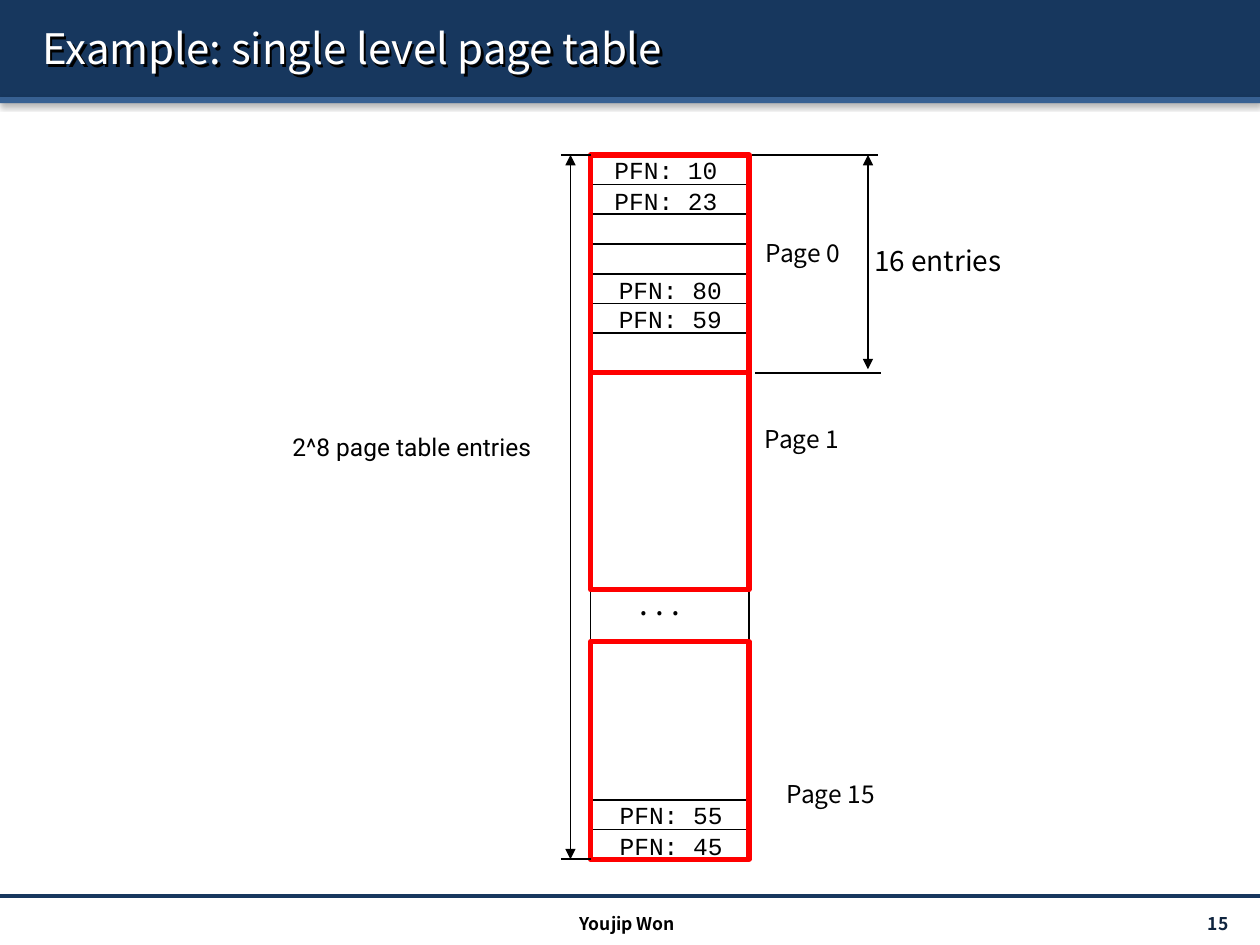
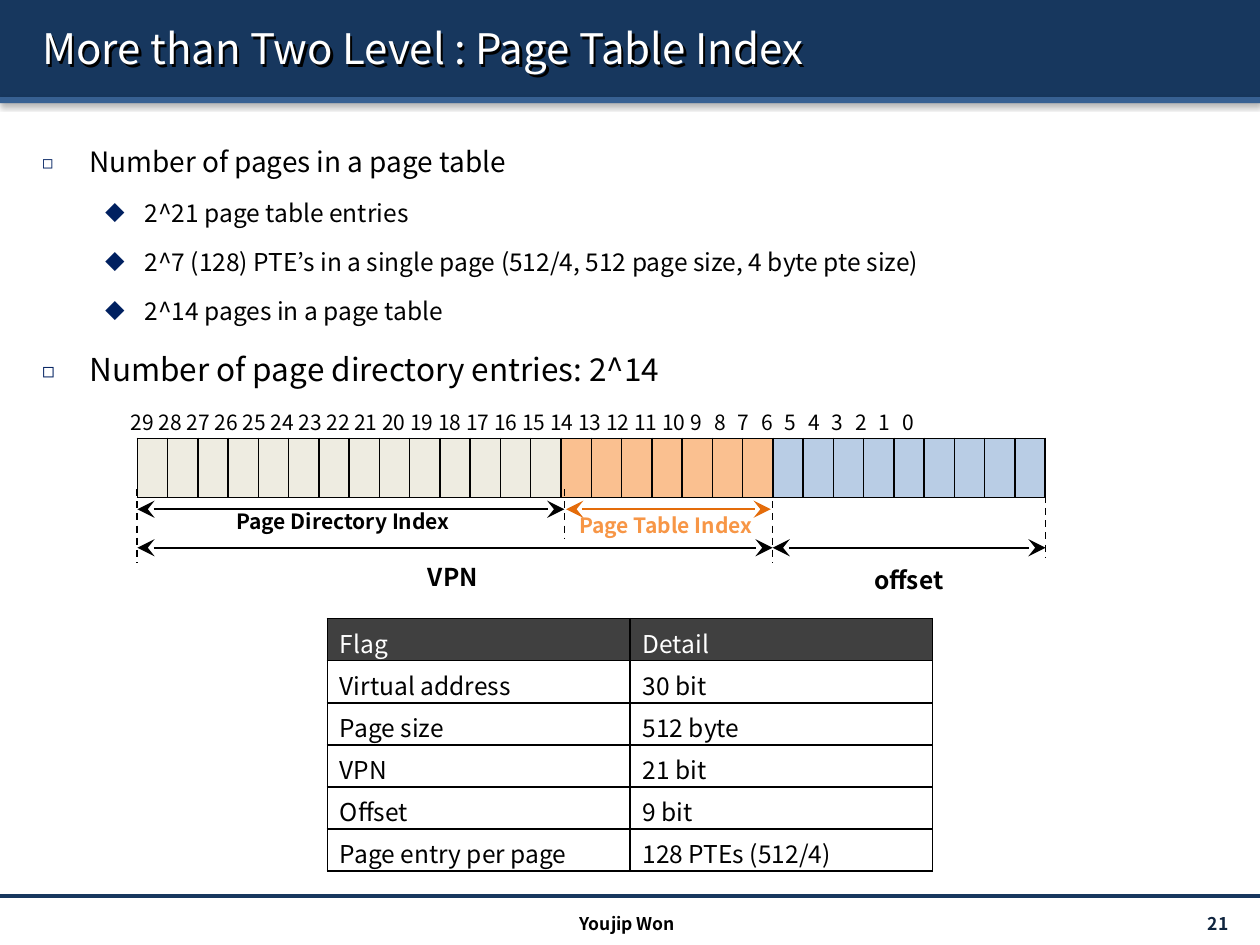
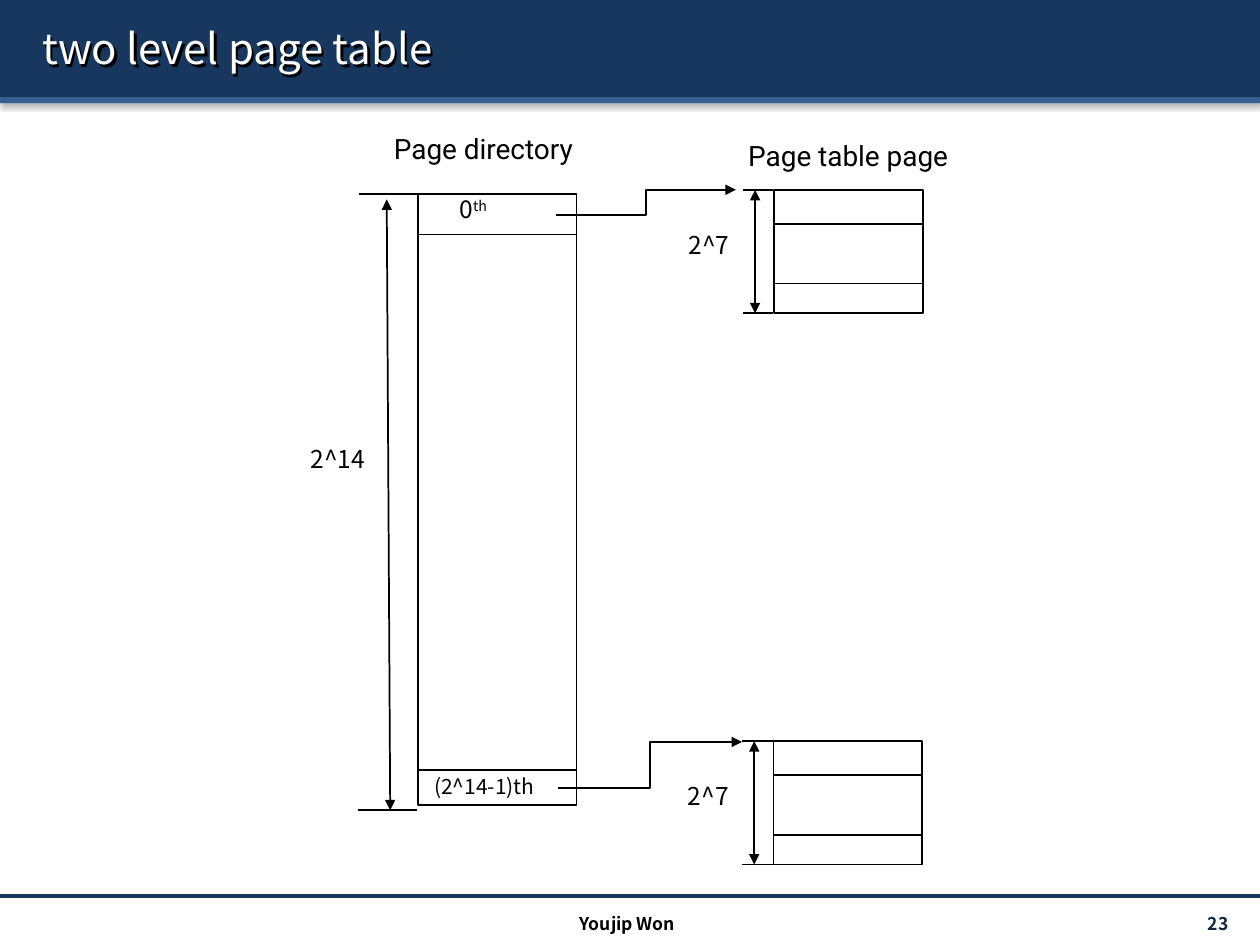
from lxml import etree
from pptx import Presentation
from pptx.dml.color import RGBColor
from pptx.enum import dml, shapes, text
from pptx.oxml.ns import qn
from pptx.util import Pt

rgb = RGBColor.from_string
NAVY, BLUE, INK, RED, BLACK, WHITE = "17375E", "376092", "0F243E", "FF0000", "000000", "FFFFFF"
BULLET, ORANGE, DARK_ORANGE = "002060", "F79646", "E46C0A"
SANS, MONO, ROBOTO = "Noto Sans CJK KR", "Courier New", "Roboto"
LEFT, CENTER, RIGHT = text.PP_ALIGN.LEFT, text.PP_ALIGN.CENTER, text.PP_ALIGN.RIGHT


def add_box(page, left, top, width, height, words="", size=14, font=SANS, color=BLACK, bold=False,
            align=LEFT, anchor=text.MSO_ANCHOR.TOP, raised="", fill=None, outline=None, weight=1):
    """Add a rectangle if it has a fill or outline, otherwise a text box; raised is superscript."""
    place = Pt(left), Pt(top), Pt(width), Pt(height)
    if fill or outline:
        box = page.shapes.add_shape(shapes.MSO_SHAPE.RECTANGLE, *place)
        box.shadow.inherit = False
        if fill:
            box.fill.solid()
            box.fill.fore_color.rgb = rgb(fill)
        else:
            box.fill.background()
        if outline:
            box.line.color.rgb = rgb(outline)
            box.line.width = Pt(weight)
        else:
            box.line.fill.background()
        return box
    box = page.shapes.add_textbox(*place)
    box.text_frame.word_wrap = True
    box.text_frame.vertical_anchor = anchor
    para = box.text_frame.paragraphs[0]
    para.alignment = align
    for piece, lift in ((words, 0), (raised, 30000)):
        if piece:
            span = para.add_run()
            span.text = piece
            span.font.size, span.font.name, span.font.bold = Pt(size), font, bold
            span.font.color.rgb = rgb(color)
            if lift:
                span.font._element.set("baseline", str(lift))
    return box


def add_line(page, x1, y1, x2, y2, color=BLACK, weight=1, dashed=False, head=None, tail=None,
             arrow_size="med", kind=shapes.MSO_CONNECTOR.STRAIGHT):
    line = page.shapes.add_connector(kind, Pt(x1), Pt(y1), Pt(x2), Pt(y2))
    line.line.color.rgb = rgb(color)
    line.line.width = Pt(weight)
    if dashed:
        line.line.dash_style = dml.MSO_LINE.DASH
    properties = line.element.spPr
    for tag, arrow in (("a:headEnd", head), ("a:tailEnd", tail)):
        if arrow:
            etree.SubElement(properties.find(qn("a:ln")), qn(tag), type=arrow, w=arrow_size, len=arrow_size)
    etree.SubElement(properties, qn("a:effectLst"))
    return line


deck = Presentation()
deck.slide_width, deck.slide_height = Pt(720), Pt(540)

# Shared bands, titles and footers
pages = []
for heading, number in (("Example: single level page table", 15),
                        ("More than Two Level : Page Table Index", 21),
                        ("two level page table", 23)):
    page = deck.slides.add_slide(deck.slide_layouts[5])
    pages.append(page)
    title = page.shapes.title
    title.left, title.top, title.width, title.height = Pt(17), Pt(4.5), Pt(692), Pt(46)
    title.text_frame.auto_size = text.MSO_AUTO_SIZE.NONE
    title.text_frame.vertical_anchor = text.MSO_ANCHOR.MIDDLE
    title.shadow.inherit = False
    para = title.text_frame.paragraphs[0]
    para.alignment = LEFT
    span = para.add_run()
    span.text = heading
    span.font.size, span.font.name = Pt(24), SANS
    span.font.color.rgb = rgb(WHITE)

    main_band = add_box(page, 0, 0, 720, 55.5, fill=NAVY)
    thin_band = add_box(page, 0, 55.5, 720, 3.5, fill=BLUE)
    for shape, blur, distance, angle, opacity in ((main_band, 3.1, 1.6, 90, 38),
                                                  (thin_band, 3.1, 1.6, 90, 38),
                                                  (title, 0, 2, 45, 100)):
        effects = shape.element.spPr.find(qn("a:effectLst"))
        shadow = etree.SubElement(effects, qn("a:outerShdw"), blurRad=str(Pt(blur)),
                                  dist=str(Pt(distance)), dir=str(angle * 60000), rotWithShape="0")
        shade = etree.SubElement(shadow, qn("a:srgbClr"), val=BLACK)
        etree.SubElement(shade, qn("a:alpha"), val=str(opacity * 1000))
    title.element.getparent().append(title.element)  # in front of the bands
    add_line(page, 0, 512, 720, 512, NAVY, 2)

    footer_style = dict(size=10, bold=True, anchor=text.MSO_ANCHOR.MIDDLE)
    counter = add_box(page, 627, 519, 84.5, 17.5, str(number), color=INK, align=RIGHT, **footer_style)
    counter.text_frame.margin_right = Pt(9.5)
    add_box(page, 239, 519, 239, 17.5, "Youjip Won", align=CENTER, **footer_style)

single, index, two_level = pages

# Single level page table
column, column_width, table_top, table_bottom, row = 337.5, 90.5, 88.5, 491, 17
add_box(single, column, table_top, column_width, table_bottom - table_top, fill=WHITE, outline=BLACK)
for top in (table_top, table_top + 2 * row, table_top + 4 * row, table_bottom - 2 * row):
    pair = add_box(single, column, top, column_width, 2 * row, fill=WHITE, outline=BLACK)
    divider = add_line(single, column, top + row, column + column_width, top + row)
    divider.begin_connect(pair, 1)
    divider.end_connect(pair, 3)
for left, top, frame in ((344, 85, 10), (344, 103, 23), (346.5, 153.5, 80),
                         (346.5, 170, 59), (347, 453.5, 55), (347, 471.5, 45)):
    add_box(single, left, top, 84.5, 24.5, f"PFN: {frame}", font=MONO)

page_height = 124.25
for top in (table_top, table_top + page_height, table_bottom - page_height):
    add_box(single, column, top, column_width, page_height, outline=RED, weight=3)
for left, top, number in ((430.5, 132.5, 0), (430, 238.5, 1), (442.5, 441.5, 15)):
    add_box(single, left, top, 119, 24.5, f"Page {number}")
add_box(single, 358.5, 330, 51, 29, ". . .", 18)

for y in (table_top, table_bottom):
    add_line(single, 320.5, y, column, y)
add_line(single, 326, table_top, 326, table_bottom, head="triangle", tail="triangle")
add_box(single, 160, 243.5, 164, 24.5, "2^8 page table entries", font=ROBOTO)
for left, y in ((430, table_top), (431.5, 213)):
    add_line(single, left, y, left + 72, y)
add_line(single, 496, table_top, 496, 211, head="triangle", tail="triangle")
add_box(single, 492.5, 135.5, 94.5, 26.5, "16 entries", 16)

# Page table index: bullets
body = add_box(index, 17, 69.5, 692, 433.5).text_frame
for i, (words, level, size) in enumerate((
        ("Number of pages in a page table", 0, 16),
        ("2^21 page table entries", 1, 14),
        ("2^7 (128) PTE’s in a single page (512/4, 512 page size, 4 byte pte size)", 1, 14),
        ("2^14 pages in a page table", 1, 14),
        ("Number of page directory entries: 2^14", 0, 18))):
    para = body.add_paragraph() if i else body.paragraphs[0]
    para.level = level
    para.line_spacing = 1.5
    if i:
        para.space_before = Pt(0.2 * size)
    margin, hanging, mark, scale = ((27, 27, "◻", 65), (58.5, 22.5, "◆", 80))[level]
    properties = para._p.get_or_add_pPr()
    properties.set("marL", str(Pt(margin)))
    properties.set("indent", str(-Pt(hanging)))
    etree.SubElement(etree.SubElement(properties, qn("a:buClr")), qn("a:srgbClr"), val=BULLET)
    etree.SubElement(properties, qn("a:buSzPct"), val=str(scale * 1000))
    etree.SubElement(properties, qn("a:buFont"), typeface=SANS)
    etree.SubElement(properties, qn("a:buChar"), char=mark)
    span = para.add_run()
    span.text = words
    span.font.size, span.font.name = Pt(size), SANS
    span.font.color.rgb = rgb(BLACK)

# Page table index: address bits and flag table
bit_fills = ["EEECE1"] * 14 + ["FAC090"] * 7 + ["B9CDE5"] * 9
flags = [("Flag", "Detail"), ("Virtual address", "30 bit"), ("Page size", "512 byte"),
         ("VPN", "21 bit"), ("Offset", "9 bit"), ("Page entry per page", "128 PTEs (512/4)")]
flag_fills = [["404040"] * 2] + [[WHITE] * 2] * 5
for left, top, column_width, row_height, rows, fills in (
        (78.5, 250.5, 17.3, 33.75, [[""] * 30], [bit_fills]),
        (187, 353.5, 173, 24, flags, flag_fills)):
    columns = len(rows[0])
    grid = index.shapes.add_table(len(rows), columns, Pt(left), Pt(top),
                                  Pt(column_width * columns), Pt(row_height * len(rows))).table
    grid.first_row = grid.horz_banding = False
    for grid_column in grid.columns:
        grid_column.width = Pt(column_width)
    for r, words_row in enumerate(rows):
        grid.rows[r].height = Pt(row_height)
        for c, words in enumerate(words_row):
            cell = grid.cell(r, c)
            for side in ("a:lnL", "a:lnR", "a:lnT", "a:lnB"):
                border = etree.SubElement(cell._tc.get_or_add_tcPr(), qn(side), w=str(Pt(1)))
                paint = etree.SubElement(border, qn("a:solidFill"))
                etree.SubElement(paint, qn("a:srgbClr"), val=BLACK)
            cell.fill.solid()
            cell.fill.fore_color.rgb = rgb(fills[r][c])
            if words:
                span = cell.text_frame.paragraphs[0].add_run()
                span.text = words
                span.font.size, span.font.name = Pt(14), SANS
                span.font.color.rgb = rgb(BLACK if r else WHITE)

two_digit = " ".join(str(bit) for bit in range(29, 9, -1))
one_digit = "\t".join(str(bit) for bit in range(9, -1, -1))
bits = add_box(index, 67.5, 230.5, 544, 21.5, two_digit + "\t" + one_digit, 12)
tabs = etree.SubElement(bits.text_frame.paragraphs[0]._p.get_or_add_pPr(), qn("a:tabLst"))
for stop in range(10):
    etree.SubElement(tabs, qn("a:tab"), pos=str(Pt(320 + 13.45 * stop)), algn="l")

for left, top, width, height, words, size, color in (
        (492.5, 319.5, 67, 24.5, "offset", 14, BLACK),
        (237.5, 317.5, 67, 24.5, "VPN", 14, BLACK),
        (324, 289.5, 127, 21.5, "Page Table Index", 12, ORANGE),
        (128, 287, 139, 21.5, "Page Directory Index", 12, BLACK)):
    add_box(index, left, top, width, height, words, size, color=color, bold=True)
for x, top, bottom in ((78.5, 279.5, 322), (322.5, 279.5, 308), (441.5, 279.5, 322), (597.5, 276.5, 319)):
    add_line(index, x, top, x, bottom, dashed=True)
for start, end, y, color in ((78.5, 441.5, 313, BLACK), (441.5, 597.5, 313, BLACK),
                             (78.5, 322.5, 291, BLACK), (323.5, 440.5, 291, DARK_ORANGE)):
    add_line(index, start, y, end, y, color, head="stealth", tail="stealth", arrow_size="lg")

# Two level page table: directory
add_box(two_level, 239, 111, 90.5, 349, fill=WHITE, outline=BLACK)
for start, end, y in ((239, 329.5, 134), (239, 329.5, 440), (205, 239, 111), (204.5, 238.5, 463)):
    add_line(two_level, start, y, end, y)
add_line(two_level, 221, 114, 223, 463, head="triangle", tail="triangle")
add_box(two_level, 170.5, 250, 52.5, 24.5, "2^14")
add_box(two_level, 218, 71.5, 123, 26.5, "Page directory", 16, ROBOTO)
add_box(two_level, 420.5, 75.5, 136, 26.5, "Page table page", 16, ROBOTO)
add_box(two_level, 255.5, 107.5, 57, 24.5, "0", raised="th")
add_box(two_level, 241, 438.5, 99.5, 21.5, "(2^14-1)th", 12)

# Two level page table: pages and the entries that point at them
for left, top in ((442.5, 108.5), (442, 423.5)):
    add_box(two_level, left, top, 85, 70.5, outline=BLACK)
    for offset in (19.5, 53.5):
        add_line(two_level, left, top + offset, left + 85, top + offset)
    for y in (top, top + 70.5):
        add_line(two_level, left - 18, y, left - 0.5, y)
    add_line(two_level, left - 11, top, left - 11, top + 70.5, head="triangle", tail="triangle")
    add_box(two_level, left - 56, top + 19.5, 39, 24.5, "2^7")
for ends in ((317.5, 123, 420.5, 108.5), (319, 450.5, 424, 424)):
    add_line(two_level, *ends, tail="triangle", kind=shapes.MSO_CONNECTOR.ELBOW)

deck.save("out.pptx")
